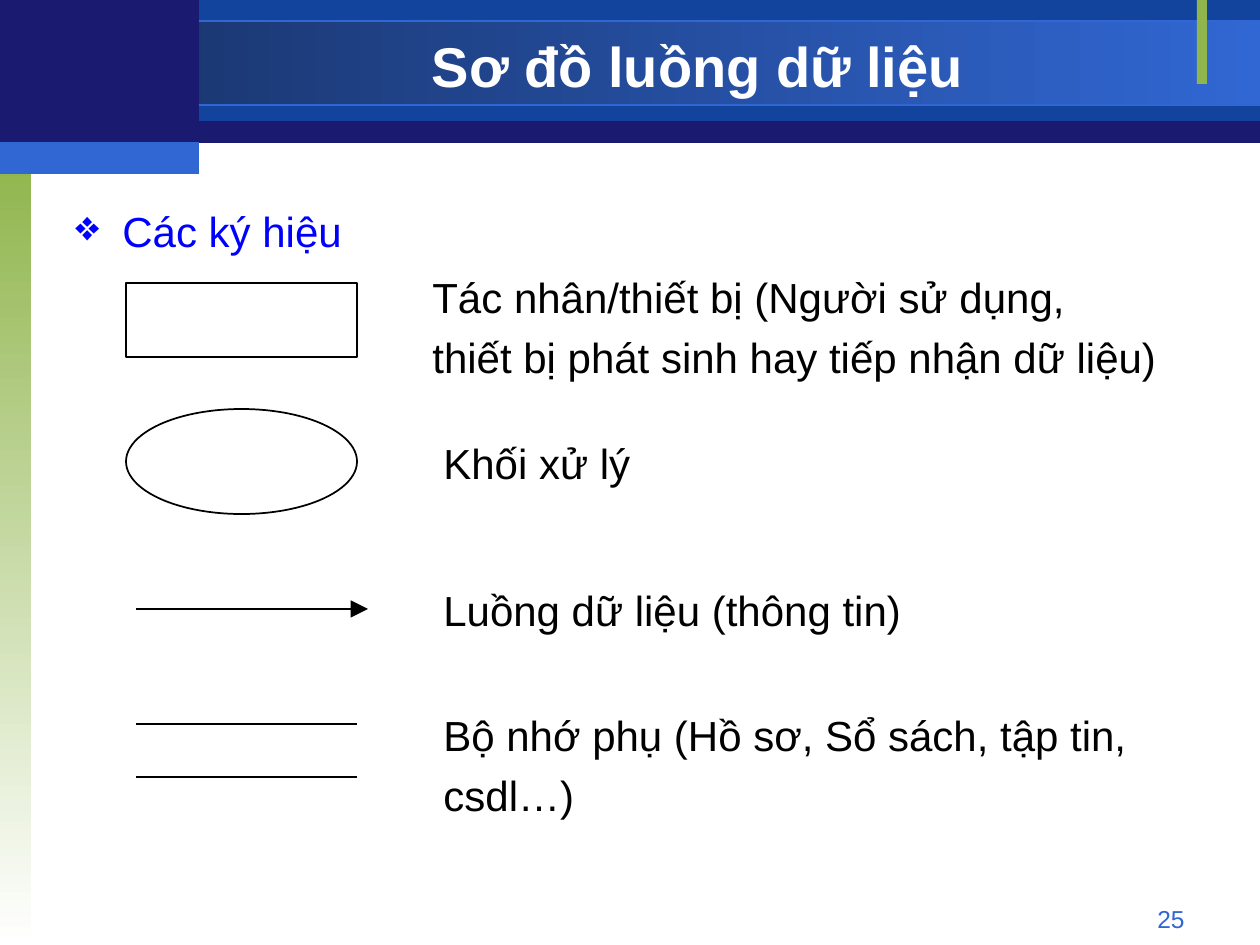
from dataclasses import dataclass

from lxml.etree import SubElement
from pptx import Presentation
from pptx.dml.color import RGBColor
from pptx.enum.shapes import MSO_CONNECTOR as Connector, MSO_SHAPE as Preset
from pptx.enum.text import MSO_ANCHOR as Anchor, PP_ALIGN as Align
from pptx.oxml.ns import qn
from pptx.util import Emu, Pt

EMU_PER_PX = 914400 / 126
FONT = "Arial"
COLORS = {
    "white": "FFFFFF",
    "black": "000000",
    "navy": "1A1A70",
    "blue": "12449E",
    "deep": "173062",
    "bright": "3167D3",
    "green": "90B54D",
    "heading": "0000FF",
}


@dataclass(frozen=True)
class Block:
    left: int
    top: int
    width: int
    height: int
    fill: tuple[str, ...] = ()  # none, one solid colour, or two gradient ends
    angle: int = 0
    line: str = ""
    line_width: float = 0.75
    preset: Preset = Preset.RECTANGLE


@dataclass(frozen=True)
class Label:
    left: int
    top: int
    width: int
    height: int
    lines: tuple[str, ...]
    size: int = 24
    color: str = "black"
    bold: bool = False
    align: Align = Align.LEFT
    anchor: Anchor = Anchor.TOP
    spacing: float = 1.0
    before: int = 0
    bullet: str = ""


@dataclass(frozen=True)
class Rule:
    left: int
    right: int
    y: int
    arrow: bool = False


BLOCKS = (
    Block(0, 1, 1260, 142, ("navy",)),
    Block(199, 0, 1061, 121, ("blue",)),
    Block(0, 21, 1260, 84, ("deep", "bright"), line="bright"),
    Block(0, 158, 31, 787, ("green", "white"), angle=270),
    Block(1197, 0, 10, 84, ("green",)),
    Block(0, 0, 199, 147, ("navy",)),
    Block(0, 142, 199, 32, ("bright",)),
    Block(126, 283, 231, 74, line="black"),
    Block(126, 409, 231, 105, line="black", line_width=1, preset=Preset.OVAL),
)

RULES = (
    Rule(136, 368, 609, arrow=True),
    Rule(136, 357, 724),
    Rule(136, 357, 777),
)

LABELS = (
    Label(903, 898, 294, 34, ("25",), size=14, color="bright", align=Align.RIGHT),
    Label(199, 29, 998, 73, ("Sơ đồ luồng dữ liệu",), size=32, color="white",
          bold=True, align=Align.CENTER, anchor=Anchor.MIDDLE),
    Label(63, 189, 1134, 693, ("Các ký hiệu",), color="heading",
          spacing=1.2, before=6, bullet="❖"),
    Label(420, 255, 766, 134,
          ("Tác nhân/thiết bị (Người sử dụng,",
           "thiết bị phát sinh hay tiếp nhận dữ liệu)"), spacing=1.2),
    Label(431, 431, 693, 63, ("Khối xử lý",)),
    Label(431, 578, 693, 63, ("Luồng dữ liệu (thông tin)",)),
    Label(431, 693, 735, 134,
          ("Bộ nhớ phụ (Hồ sơ, Sổ sách, tập tin, csdl…)",), spacing=1.2),
)


def px(length: int) -> Emu:
    return Emu(round(length * EMU_PER_PX))


def rgb(name: str) -> RGBColor:
    return RGBColor.from_string(COLORS[name])


def draw_block(page, block: Block) -> None:
    shape = page.shapes.add_shape(block.preset, px(block.left), px(block.top),
                                  px(block.width), px(block.height))
    shape.shadow.inherit = False
    if len(block.fill) == 2:
        shape.fill.gradient()
        shape.fill.gradient_angle = block.angle
        for stop, name in zip(shape.fill.gradient_stops, block.fill):
            stop.color.rgb = rgb(name)
    elif block.fill:
        shape.fill.solid()
        shape.fill.fore_color.rgb = rgb(block.fill[0])
    else:
        shape.fill.background()
    if block.line:
        shape.line.color.rgb = rgb(block.line)
        shape.line.width = Pt(block.line_width)
    else:
        shape.line.fill.background()


def draw_rule(page, rule: Rule) -> None:
    line = page.shapes.add_connector(Connector.STRAIGHT, px(rule.left), px(rule.y),
                                     px(rule.right), px(rule.y))
    line.line.color.rgb = rgb("black")
    line.line.width = Pt(0.75)
    if rule.arrow:
        SubElement(line.line._get_or_add_ln(), qn("a:tailEnd"),
                   type="triangle", w="lg", len="lg")
    SubElement(line._element.spPr, qn("a:effectLst"))


def add_bullet(para, mark: str, color: str) -> None:
    """Give the paragraph a coloured bullet with a hanging indent."""
    indent = px(47)
    properties = para._p.get_or_add_pPr()
    properties.set("marL", str(indent))
    properties.set("indent", str(-indent))
    bullet_color = SubElement(properties, qn("a:buClr"))
    SubElement(bullet_color, qn("a:srgbClr"), val=COLORS[color])
    SubElement(properties, qn("a:buChar"), char=mark)


def draw_label(page, label: Label) -> None:
    box = page.shapes.add_textbox(px(label.left), px(label.top),
                                  px(label.width), px(label.height))
    frame = box.text_frame
    frame.word_wrap = True
    frame.vertical_anchor = label.anchor
    frame.text = "\n".join(label.lines)
    for para in frame.paragraphs:
        para.alignment = label.align
        para.line_spacing = label.spacing
        para.space_before = Pt(label.before)
        if label.bullet:
            add_bullet(para, label.bullet, label.color)
        para.font.name = FONT
        para.font.size = Pt(label.size)
        para.font.bold = label.bold
        para.font.color.rgb = rgb(label.color)


def main() -> None:
    deck = Presentation()
    deck.slide_width, deck.slide_height = px(1260), px(945)
    page = deck.slides.add_slide(deck.slide_layouts[6])
    for block in BLOCKS:
        draw_block(page, block)
    for rule in RULES:
        draw_rule(page, rule)
    for label in LABELS:
        draw_label(page, label)
    deck.save("out.pptx")


if __name__ == "__main__":
    main()
